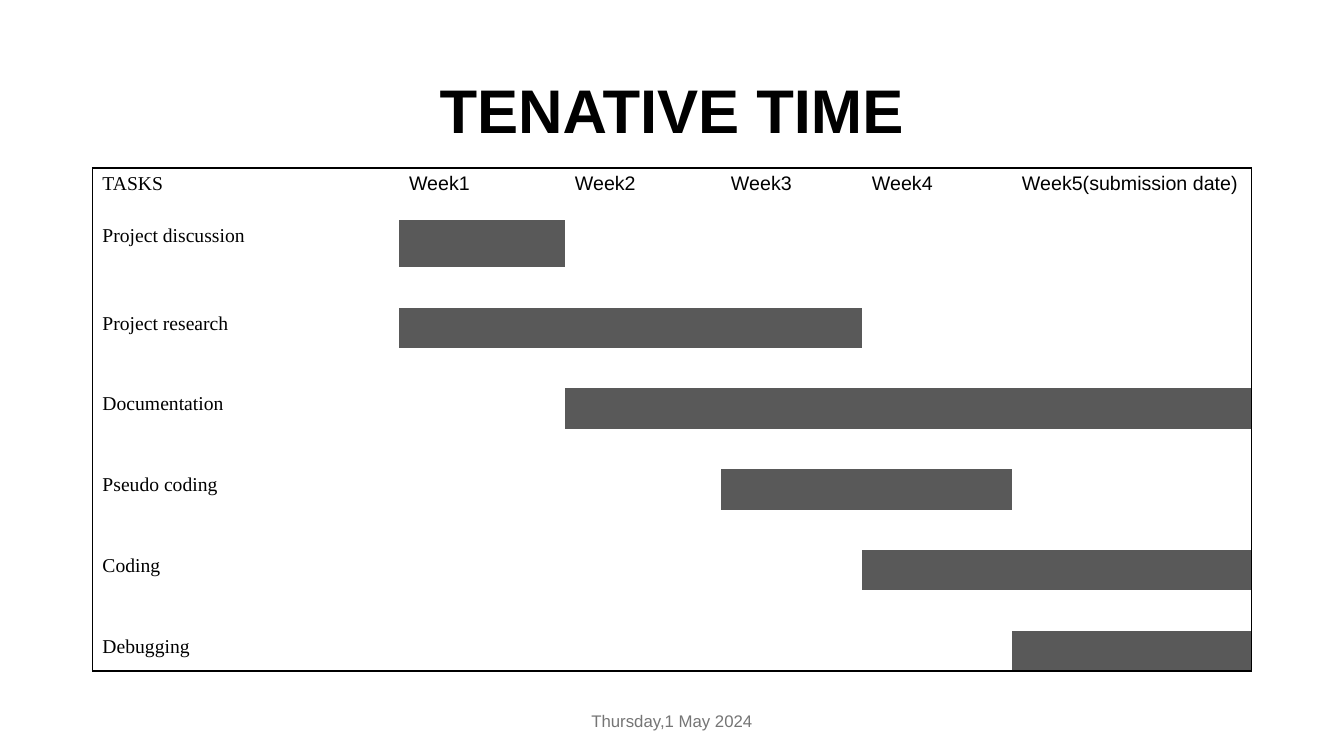
from lxml import etree
from pptx import Presentation
from pptx.dml.color import RGBColor
from pptx.enum.text import MSO_ANCHOR, PP_ALIGN
from pptx.oxml.ns import qn
from pptx.util import Pt

CENTER = PP_ALIGN.CENTER
MIDDLE = MSO_ANCHOR.MIDDLE

COLORS = {"ink": "000000", "bar": "595959", "date": "757575"}
SANS, SERIF = "Arial", "Times New Roman"
NO_STYLE_NO_GRID = "{2D5ABB26-0587-4C30-8999-92F81FD0307C}"

WEEKS = ["Week1", "Week2", "Week3", "Week4", "Week5(submission date)"]
# Task, first week, last week
TASKS = [
    ("Project discussion", 1, 1),
    ("Project research", 1, 3),
    ("Documentation\u00a0", 2, 5),
    ("Pseudo coding", 3, 4),
    ("Coding\u00a0", 4, 5),
    ("Debugging\u00a0", 5, 5),
]
COLUMN_WIDTHS = [219, 118.5, 111.5, 100.7, 107.2, 171.3]
HEADER_HEIGHT, FIRST_TASK_HEIGHT, ROW_HEIGHT = 37.4, 33.6, 27.7


class SlideBuilder:
    def __init__(self, slide):
        self.slide = slide

    def format_text(self, paragraph, font, size, color, bold=False):
        for run in paragraph.runs:
            run.font.name = font
            run.font.size = Pt(size)
            run.font.bold = bold
            run.font.color.rgb = RGBColor.from_string(COLORS[color])

    def text(self, words, left, top, width, height, size, color, bold=False, spacing=1.0):
        box = self.slide.shapes.add_textbox(Pt(left), Pt(top), Pt(width), Pt(height))
        frame = box.text_frame
        frame.word_wrap = True
        frame.vertical_anchor = MIDDLE
        frame.text = words
        paragraph = frame.paragraphs[0]
        paragraph.alignment = CENTER
        paragraph.line_spacing = spacing
        self.format_text(paragraph, SANS, size, color, bold)

    def table(self, left, top, widths, heights):
        frame = self.slide.shapes.add_table(
            len(heights), len(widths), Pt(left), Pt(top), Pt(sum(widths)), Pt(sum(heights)))
        table = frame.table
        table.first_row = table.horz_banding = False
        frame._element.find(".//" + qn("a:tableStyleId")).text = NO_STYLE_NO_GRID
        for column, width in zip(table.columns, widths):
            column.width = Pt(width)
        for row, height in zip(table.rows, heights):
            row.height = Pt(height)
        self.outline(table)
        return table

    def outline(self, table):
        last_row, last_column = len(table.rows) - 1, len(table.columns) - 1
        for row in range(last_row + 1):
            for column in range(last_column + 1):
                cell = table.cell(row, column)
                sides = {"lnL": column == 0, "lnR": column == last_column,
                         "lnT": row == 0, "lnB": row == last_row}
                for side, is_outer in sides.items():
                    if is_outer:
                        self.border(cell, side)
                cell.fill.background()

    def border(self, cell, side):
        properties = cell._tc.get_or_add_tcPr()
        line = etree.SubElement(properties, qn("a:" + side), w=str(Pt(1)))
        fill = etree.SubElement(line, qn("a:solidFill"))
        etree.SubElement(fill, qn("a:srgbClr"), val=COLORS["ink"])

    def cell_text(self, cell, words, font):
        cell.text_frame.text = words
        self.format_text(cell.text_frame.paragraphs[0], font, 14, "ink")

    def cell_fill(self, cell, color):
        cell.fill.solid()
        cell.fill.fore_color.rgb = RGBColor.from_string(COLORS[color])


def main():
    presentation = Presentation()
    presentation.slide_width, presentation.slide_height = Pt(960), Pt(540)
    builder = SlideBuilder(presentation.slides.add_slide(presentation.slide_layouts[6]))

    # Title and date
    builder.text("TENATIVE TIME", 66, 28.8, 828, 104.4, 44, "ink", bold=True, spacing=0.9)
    builder.text("Thursday,1 May 2024", 318, 500.5, 324, 28.8, 12, "date")

    # Schedule: a header, then task rows with a gap row between them
    gap_and_task_rows = 2 * len(TASKS) - 2
    heights = [HEADER_HEIGHT, FIRST_TASK_HEIGHT] + [ROW_HEIGHT] * gap_and_task_rows
    schedule = builder.table(66, 120, COLUMN_WIDTHS, heights)

    # Header
    builder.cell_text(schedule.cell(0, 0), "TASKS", SERIF)
    for column, week in enumerate(WEEKS, start=1):
        builder.cell_text(schedule.cell(0, column), week, SANS)

    # Task names and bars
    for index, (task, first_week, last_week) in enumerate(TASKS):
        row = 1 + 2 * index
        builder.cell_text(schedule.cell(row, 0), task, SERIF)
        for week in range(first_week, last_week + 1):
            builder.cell_fill(schedule.cell(row, week), "bar")

    presentation.save("out.pptx")


if __name__ == "__main__":
    main()
